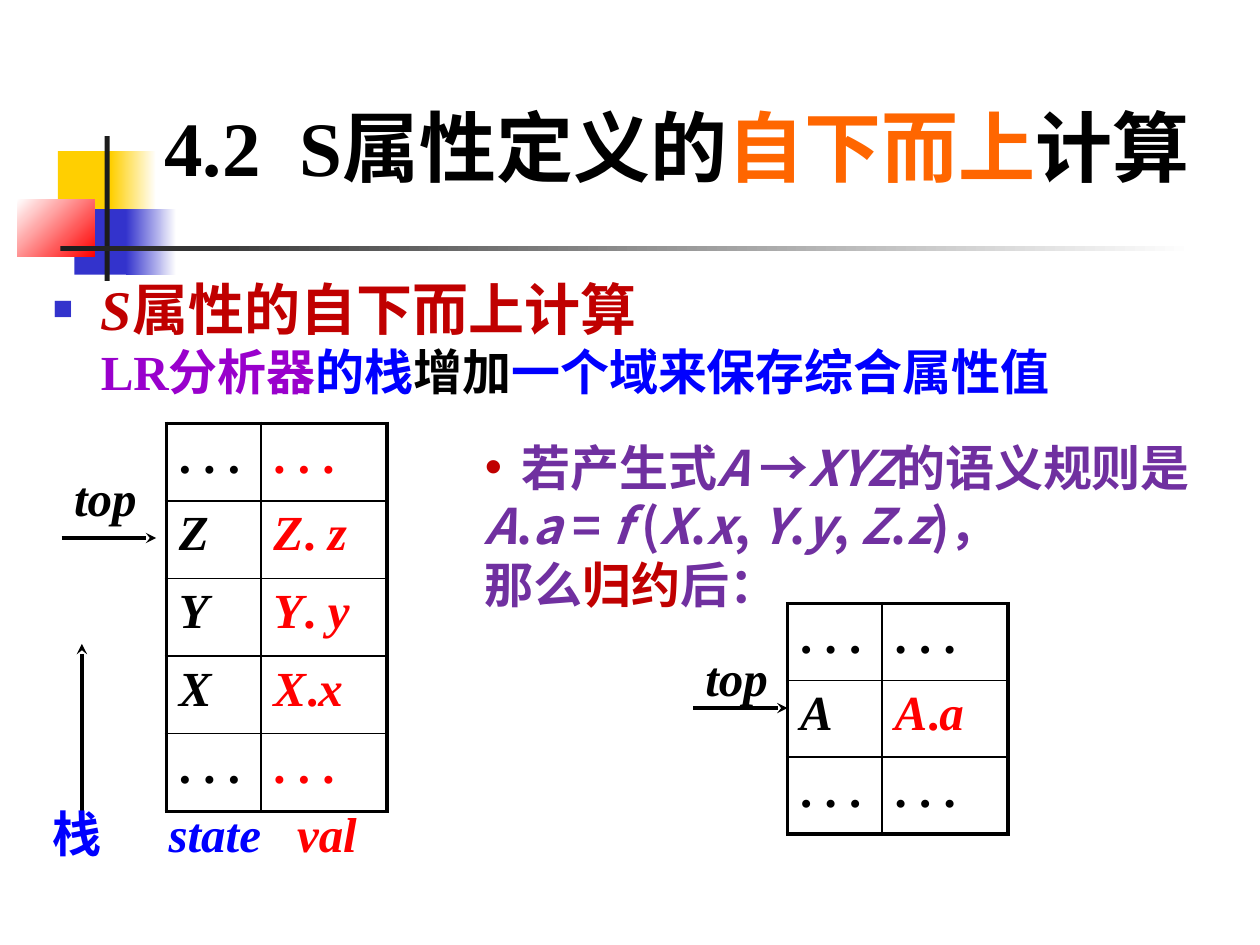
from dataclasses import dataclass
from typing import NamedTuple, Optional

from lxml import etree
from pptx import Presentation, util as u
from pptx.dml.color import RGBColor
from pptx.enum import shapes, text
from pptx.oxml import ns

COLORS = {
    "black": "000000", "white": "FFFFFF", "ink": "1C1C1C", "yellow": "FFCF01",
    "navy": "3333CC", "red": "FF0000", "crimson": "C00000", "blue": "0000FF",
    "violet": "9900CC", "purple": "7030A0", "orange": "FF6600",
}
SERIF, SANS = "Times New Roman", "Noto Sans CJK JP"
COLUMN_WIDTHS = (0.75, 1)
OUTER_BORDER, INNER_BORDER = 2.25, 1


class Box(NamedTuple):
    left: float
    top: float
    width: float
    height: float

    def lengths(self) -> list:
        return [u.Inches(value) for value in self]


class Run(NamedTuple):
    text: str
    color: str = "black"
    italic: bool = False


@dataclass
class Block:
    box: Box
    color: str
    end_color: Optional[str] = None
    angle: int = 0


@dataclass
class Stack:
    box: Box
    rows: list


@dataclass
class Arrow:
    start: tuple
    end: tuple


@dataclass
class Label:
    box: Box
    run: Run


def rgb(name: str) -> RGBColor:
    return RGBColor.from_string(COLORS[name])


def add_xml(parent, tag: str, **attributes):
    return etree.SubElement(parent, ns.qn(tag), attributes)


def write_runs(paragraph, runs: list, size: float = 28, font: str = SERIF) -> None:
    for item in runs:
        run = paragraph.add_run()
        run.text = item.text
        run.font.size, run.font.name = u.Pt(size), font
        run.font.bold, run.font.italic = True, item.italic
        run.font.color.rgb = rgb(item.color)
        add_xml(run._r.get_or_add_rPr(), "a:ea", typeface=SANS)


def indent(paragraph, left: float, bullet: str = "", color: str = "", percent: int = 100) -> None:
    properties = paragraph._p.get_or_add_pPr()
    properties.set("marL", str(u.Inches(left)))
    properties.set("indent", str(-u.Inches(left) if bullet else 0))
    if not bullet:
        add_xml(properties, "a:buNone")
        return
    add_xml(add_xml(properties, "a:buClr"), "a:srgbClr", val=COLORS[color])
    add_xml(properties, "a:buSzPct", val=str(percent * 1000))
    add_xml(properties, "a:buFont", typeface="Arial")
    add_xml(properties, "a:buChar", char=bullet)


def place(shape, box: Box) -> None:
    shape.left, shape.top, shape.width, shape.height = box.lengths()


def draw_block(slide, block: Block) -> None:
    shape = slide.shapes.add_shape(shapes.MSO_SHAPE.RECTANGLE, *block.box.lengths())
    shape.shadow.inherit = False
    shape.line.fill.background()
    if block.end_color is None:
        shape.fill.solid()
        shape.fill.fore_color.rgb = rgb(block.color)
        return
    shape.fill.gradient()
    shape.fill.gradient_angle = block.angle
    for stop, color in zip(shape.fill.gradient_stops, (block.color, block.end_color)):
        stop.color.rgb = rgb(color)


def draw_stack(slide, stack: Stack) -> None:
    row_count, column_count = len(stack.rows), len(COLUMN_WIDTHS)
    table = slide.shapes.add_table(row_count, column_count, *stack.box.lengths()).table
    table.first_row = table.horz_banding = False
    for column, width in zip(table.columns, COLUMN_WIDTHS):
        column.width = u.Inches(width)
    for row_index, row in enumerate(stack.rows):
        for column_index, runs in enumerate(row):
            cell = table.cell(row_index, column_index)
            cell.fill.background()
            write_runs(cell.text_frame.paragraphs[0], runs)
            edges = {"L": column_index == 0, "R": column_index == column_count - 1,
                     "T": row_index == 0, "B": row_index == row_count - 1}
            properties = cell._tc.get_or_add_tcPr()
            for order, (side, outer) in enumerate(edges.items()):
                width = u.Pt(OUTER_BORDER if outer else INNER_BORDER)
                line = add_xml(properties, f"a:ln{side}", w=str(width))
                add_xml(add_xml(line, "a:solidFill"), "a:srgbClr", val=COLORS["black"])
                properties.insert(order, line)


def draw_arrow(slide, arrow: Arrow) -> None:
    points = [u.Inches(value) for value in (*arrow.start, *arrow.end)]
    connector = slide.shapes.add_connector(shapes.MSO_CONNECTOR.STRAIGHT, *points)
    connector.line.width = u.Pt(2)
    connector.line.color.rgb = rgb("black")
    add_xml(connector.line._get_or_add_ln(), "a:tailEnd", type="stealth")
    add_xml(connector._element.spPr, "a:effectLst")


def draw_label(slide, label: Label) -> None:
    frame = slide.shapes.add_textbox(*label.box.lengths()).text_frame
    frame.word_wrap = False
    frame.vertical_anchor = text.MSO_ANCHOR.MIDDLE
    write_runs(frame.paragraphs[0], [label.run])


def formula(source: str, color: str) -> list:
    """Letters and the spaces right after them become italic runs."""
    runs: list = []
    for character in source:
        after_italic = bool(runs) and runs[-1].italic
        italic = character.isascii() and character.isalpha() or character == " " and after_italic
        if runs and after_italic == italic:
            runs[-1] = Run(runs[-1].text + character, color, italic)
        else:
            runs.append(Run(character, color, italic))
    return runs


def stack_row(state: str, value: str, value_color: str = "red") -> tuple:
    return formula(state, "black"), formula(value, value_color)


presentation = Presentation()
presentation.slide_width, presentation.slide_height = u.Inches(10), u.Inches(7.5)
slide = presentation.slides.add_slide(presentation.slide_layouts[1])
title, body = slide.placeholders

# Corner blocks and rules
for block in (
    Block(Box(0.46, 1.2, 0.48, 0.52), "yellow"),
    Block(Box(0.88, 1.2, 0.36, 0.52), "yellow", "white"),
    Block(Box(0.59, 1.66, 0.46, 0.52), "navy"),
    Block(Box(1, 1.66, 0.4, 0.52), "navy", "white"),
    Block(Box(0.14, 1.58, 0.61, 0.46), "white", "red", 315),
    Block(Box(0.83, 1.08, 0.04, 1.15), "ink"),
    Block(Box(0.48, 1.95, 9, 0.04), "ink", "white"),
):
    draw_block(slide, block)

# Title and body, in front of the blocks
for placeholder, box in ((title, Box(0.79, 0.32, 9.17, 1.25)), (body, Box(0.32, 2.13, 9.37, 1.43))):
    slide.shapes._spTree.append(placeholder._element)
    place(placeholder, box)
    placeholder.text_frame.auto_size = text.MSO_AUTO_SIZE.NONE
title.text_frame.vertical_anchor = text.MSO_ANCHOR.BOTTOM
heading = title.text_frame.paragraphs[0]
heading.alignment = text.PP_ALIGN.CENTER
write_runs(heading, [Run("4.2  S属性定义的"), Run("自下而上", "orange"), Run("计算")], 44)

topic, detail = body.text_frame.paragraphs[0], body.text_frame.add_paragraph()
for paragraph in (topic, detail):
    paragraph.space_before = u.Pt(0)
indent(topic, 0.38, "■", "navy", 60)
write_runs(topic, [Run("S", "crimson", True), Run("属性的自下而上计算", "crimson")], 32)
indent(detail, 0.38)
write_runs(detail, [Run("LR分析器", "violet"), Run("的栈", "blue"), Run("增加"),
                    Run("一个域来保存综合属性值", "blue")])

# Semantic rule
rule = slide.shapes.add_textbox(*Box(3.75, 3.42, 6.1, 1.5).lengths()).text_frame
rule.word_wrap = False
rule_lines = (
    formula("若产生式A →XYZ的语义规则是", "purple"),
    formula("A.a = f (X.x, Y.y, Z.z)，", "purple"),
    [Run("那么", "purple"), Run("归约", "crimson"), Run("后：", "purple")],
)
for index, runs in enumerate(rule_lines):
    paragraph = rule.add_paragraph() if index else rule.paragraphs[0]
    if index == 0:
        indent(paragraph, 0.29, "•", "crimson")
    write_runs(paragraph, runs, font=SANS)

# Stacks before and after the reduction
dots = ". . ."
draw_stack(slide, Stack(Box(1.32, 3.36, 1.75, 3.08), [
    stack_row(dots, dots), stack_row("Z", "Z. z"), stack_row("Y", "Y. y"),
    stack_row("X", "X.x"), stack_row(dots, dots)]))
draw_stack(slide, Stack(Box(6.25, 4.79, 1.75, 1.83), [
    stack_row(dots, dots, "black"), stack_row("A", "A.a"), stack_row(dots, dots, "black")]))

# Pointers and labels
for arrow in (Arrow((0.49, 4.27), (1.24, 4.27)), Arrow((5.5, 5.62), (6.25, 5.62)),
              Arrow((0.65, 6.44), (0.65, 5.11))):
    draw_arrow(slide, arrow)
for label in (
    Label(Box(0.49, 3.69, 0.8, 0.5), Run("top", italic=True)),
    Label(Box(5.5, 5.12, 0.8, 0.5), Run("top", italic=True)),
    Label(Box(0.32, 6.32, 0.7, 0.58), Run("栈", "blue")),
    Label(Box(1.24, 6.32, 1, 0.58), Run("state", "blue", True)),
    Label(Box(2.26, 6.32, 0.8, 0.58), Run("val", "red", True)),
):
    draw_label(slide, label)

presentation.save("out.pptx")
